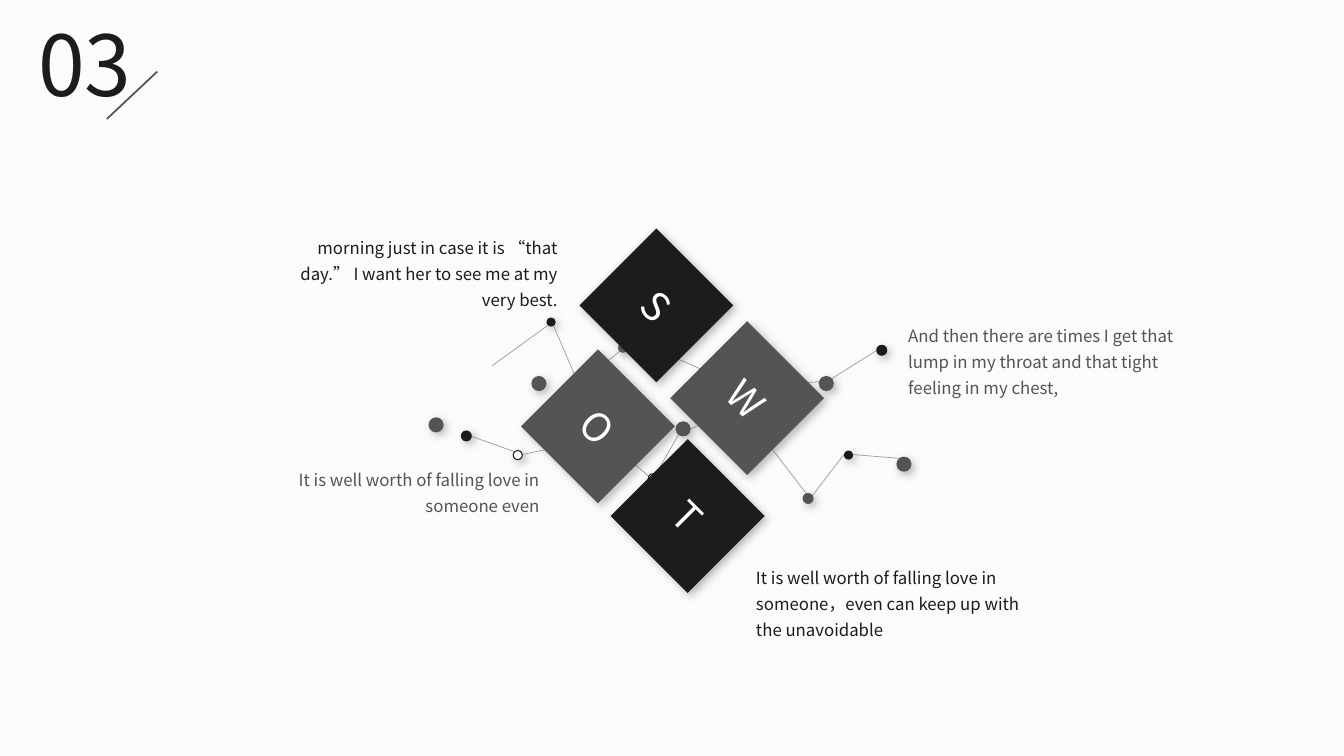
from lxml import etree
from pptx import Presentation
from pptx.dml.color import RGBColor
from pptx.enum import shapes, text
from pptx.oxml import ns
from pptx.util import Inches, Pt

FONT = "Noto Sans CJK SC"
COLORS = {"ink": "1A1D1A", "grey": "545454", "paper": "FBFBFB",
          "white": "FFFFFF", "shadow": "505950"}

# Network links: x1, y1, x2, y2 from the diagram's corner
LINKS = [
    (3.78, 1.88, 3.58, 2.31), (4.2, 1.78, 3.82, 1.81), (4.18, 1.8, 4.69, 1.48),
    (3.07, 2.15, 2.8, 2.28), (1.18, 2.51, 1.93, 2.35), (0.68, 2.33, 1.1, 2.48),
    (2.44, 2.73, 1.97, 2.32), (2.5, 2.71, 2.75, 2.28), (3.02, 1.68, 3.14, 2.12),
    (3.18, 2.11, 3.55, 2.35), (4.46, 2.51, 4.96, 2.55), (4.04, 2.94, 4.37, 2.51),
    (4.03, 2.94, 3.57, 2.34), (2.15, 1.44, 2.59, 1.47), (2.15, 1.48, 1.77, 1.8),
    (2.65, 1.53, 2.97, 1.67), (0.88, 1.63, 1.43, 1.23), (1.73, 1.79, 1.49, 1.23),
]
# Network dots: left, top, diameter, fill
DOTS = [
    (4.69, 1.42, 0.11, "ink"), (4.12, 1.73, 0.15, "grey"), (4.37, 2.47, 0.09, "ink"),
    (3.76, 1.79, 0.11, "ink"), (4.89, 2.53, 0.15, "grey"), (2.97, 1.62, 0.09, "paper"),
    (3.96, 2.89, 0.11, "grey"), (3.46, 2.27, 0.15, "grey"), (0.25, 2.14, 0.15, "grey"),
    (1.27, 1.73, 0.15, "grey"), (1.09, 2.47, 0.09, "paper"), (1.42, 1.15, 0.09, "ink"),
    (1.68, 1.79, 0.11, "ink"), (0.57, 2.27, 0.11, "ink"), (2.58, 1.46, 0.09, "paper"),
    (2.13, 1.4, 0.1, "grey"), (2.43, 2.7, 0.09, "paper"), (2.33, 2.07, 0.12, "grey"),
    (1.93, 2.27, 0.15, "grey"), (2.7, 2.18, 0.15, "grey"), (3.09, 2.07, 0.13, "paper"),
]
# Diamonds: letter, left, top, fill
DIAMONDS = [("W", 2.87, 1.41, "grey"), ("T", 2.28, 2.58, "ink"),
            ("S", 1.97, 0.49, "ink"), ("O", 1.39, 1.69, "grey")]
# Captions: wording, box, colour, alignment
LEFT, RIGHT = text.PP_ALIGN.LEFT, text.PP_ALIGN.RIGHT
CAPTIONS = [
    ("morning just in case it is “that day.” I want her to see me at my very best.",
     (2.79, 2.25, 2.84, 0.89), "ink", RIGHT),
    ("And then there are times I get that lump in my throat and that tight feeling in my chest,",
     (8.91, 3.12, 2.84, 0.86), "grey", LEFT),
    ("It is well worth of falling love in someone，even can keep up with the unavoidable",
     (7.4, 5.52, 2.84, 0.86), "ink", LEFT),
    ("It is well worth of falling love in someone even",
     (2.61, 4.55, 2.84, 0.6), "grey", RIGHT),
]


def rgb(color):
    return RGBColor.from_string(COLORS[color])


def sub(parent, tag, **attributes):
    return etree.SubElement(parent, ns.qn(tag), attributes)


def write(frame, wording, size, color, align, spacing=None):
    frame.word_wrap = True
    paragraph = frame.paragraphs[0]
    paragraph.alignment = align
    paragraph.line_spacing = spacing
    run = paragraph.add_run()
    run.text = wording
    run.font.size = Pt(size)
    run.font.name = FONT
    run.font.color.rgb = rgb(color)
    sub(run.font._element, "a:ea", typeface=FONT)


def add_text(slide, box, wording, **style):
    label = slide.shapes.add_textbox(*map(Inches, box))
    write(label.text_frame, wording, **style)


def add_line(slide, ends, color, width, alpha=None):
    line = slide.shapes.add_connector(shapes.MSO_CONNECTOR.STRAIGHT, *map(Inches, ends))
    line.line.color.rgb = rgb(color)
    line.line.width = Pt(width)
    if alpha:
        tint = line._element.spPr.find(".//" + ns.qn("a:srgbClr"))
        sub(tint, "a:alpha", val=str(alpha * 1000))
    sub(line._element.spPr, "a:effectLst")


def add_solid(slide, kind, box, fill, outline=None):
    solid = slide.shapes.add_shape(kind, *map(Inches, box))
    solid.fill.solid()
    solid.fill.fore_color.rgb = rgb(fill)
    if outline:
        solid.line.color.rgb = rgb(outline)
        solid.line.width = Pt(0.75)
    else:
        solid.line.fill.background()
    # Soft shadow to the lower right
    solid.shadow.inherit = False
    effects = solid._element.spPr.find(ns.qn("a:effectLst"))
    shadow = sub(effects, "a:outerShdw", blurRad=str(Pt(6)), dist=str(Pt(3)),
                 dir=str(45 * 60000), algn="tl", rotWithShape="0")
    sub(sub(shadow, "a:srgbClr", val=COLORS["shadow"]), "a:alpha", val="40000")
    return solid


def add_network(slide, left, top):
    for x1, y1, x2, y2 in LINKS:
        add_line(slide, (left + x1, top + y1, left + x2, top + y2), "ink", 0.5, alpha=41)
    for x, y, diameter, fill in DOTS:
        add_solid(slide, shapes.MSO_SHAPE.OVAL, (left + x, top + y, diameter, diameter),
                  fill, outline="ink" if fill == "paper" else None)


def add_diamonds(slide, left, top, side=1.08):
    for letter, x, y, fill in DIAMONDS:
        diamond = add_solid(slide, shapes.MSO_SHAPE.RECTANGLE,
                            (left + x, top + y, side, side), fill)
        diamond.rotation = 45
        diamond.text_frame.vertical_anchor = text.MSO_ANCHOR.MIDDLE
        write(diamond.text_frame, letter, size=28, color="white", align=text.PP_ALIGN.CENTER)


def add_captions(slide):
    for wording, box, color, align in CAPTIONS:
        add_text(slide, box, wording, size=12, color=color, align=align, spacing=1.3)


def add_section_number(slide, left, top):
    add_text(slide, (left, top, 1.14, 1.11), "03", size=60, color="ink",
             align=text.PP_ALIGN.JUSTIFY)
    add_line(slide, (left + 1.28, top + 0.64, left + 0.78, top + 1.11), "grey", 1.25)


def main():
    deck = Presentation()
    deck.slide_width, deck.slide_height = Inches(13.33), Inches(7.5)
    slide = deck.slides.add_slide(deck.slide_layouts[6])
    slide.background.fill.solid()
    slide.background.fill.fore_color.rgb = rgb("paper")

    # SWOT diagram
    add_network(slide, 4, 2)
    add_diamonds(slide, 4, 2)
    add_captions(slide)
    # Section number with its slash
    add_section_number(slide, 0.28, 0.07)
    deck.save("out.pptx")


if __name__ == "__main__":
    main()
